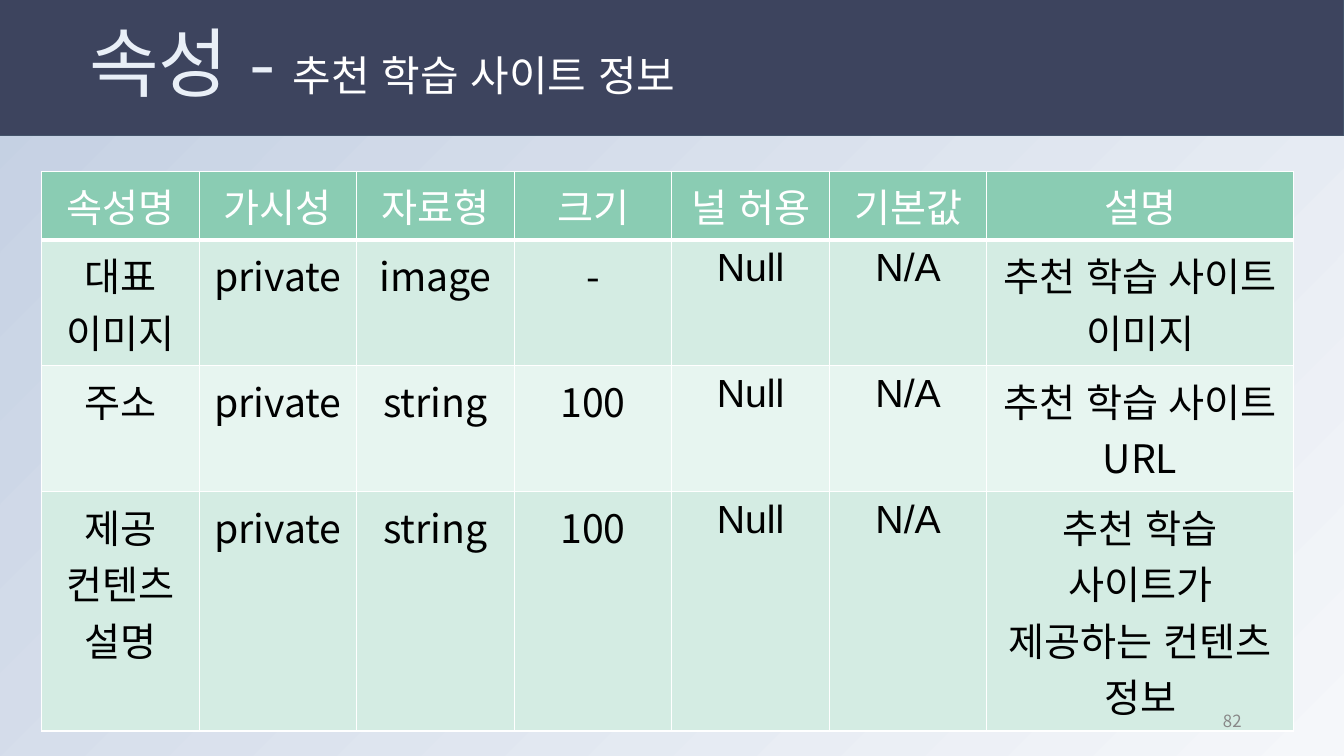
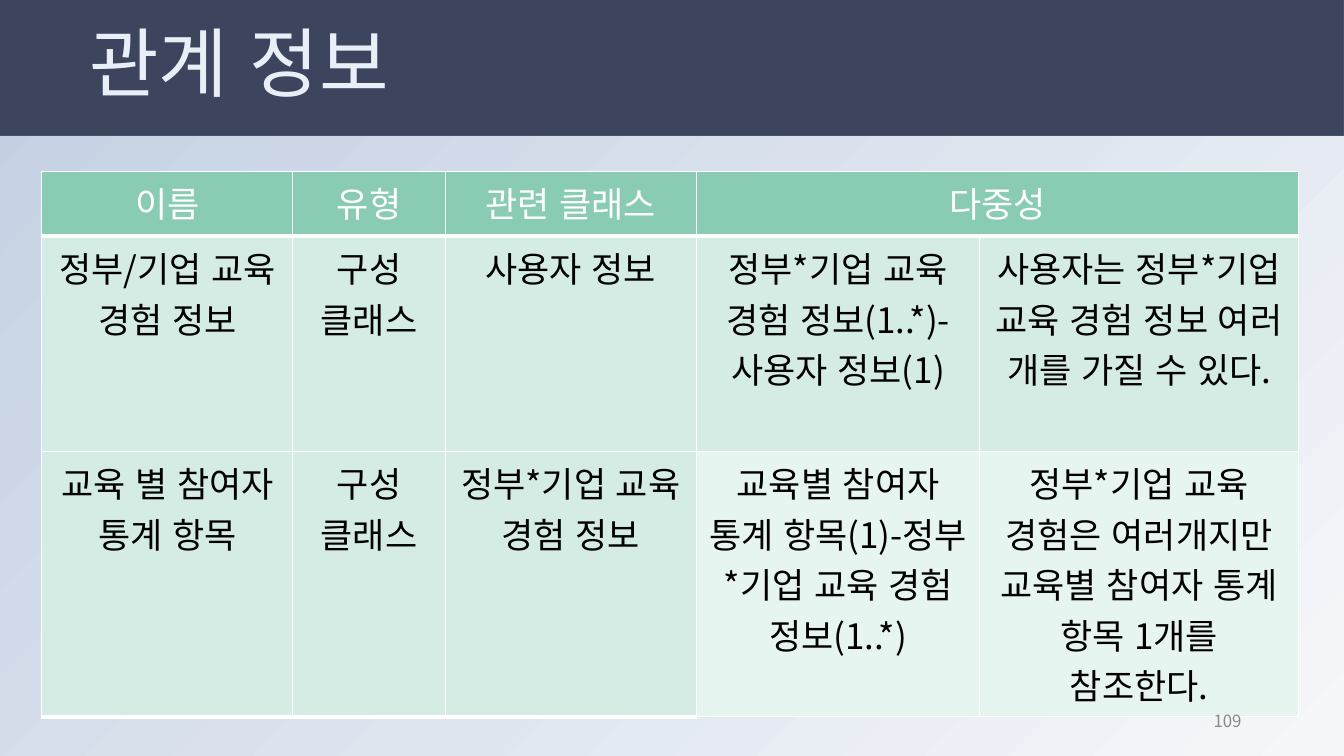
from lxml import etree
from pptx import Presentation, util as u
from pptx.dml.color import RGBColor
from pptx.enum import lang, shapes, text
from pptx.oxml import ns

NAVY = RGBColor(0x3D, 0x44, 0x5E)
SLATE = RGBColor(0x44, 0x54, 0x6A)
ICE = RGBColor(0xE9, 0xEF, 0xF7)
WHITE = RGBColor(0xFF, 0xFF, 0xFF)
BLACK = RGBColor(0, 0, 0)
GRAY = RGBColor(0x88, 0x88, 0x88)
MINT = RGBColor(0x8A, 0xCC, 0xB3)
MINT_PALE = RGBColor(0xD4, 0xEC, 0xE3)
MINT_LIGHT = RGBColor(0xE7, 0xF5, 0xF0)
BACKDROP = (RGBColor(0xF5, 0xF7, 0xFA), RGBColor(0xC3, 0xCF, 0xE2))
SANS = "Noto Sans CJK KR"
LATIN_WORDS = {"Null": "Arial", "N/A": "Arial"}


class Report:
    """Hold the deck style and the slide being built."""

    def __init__(self):
        """Set the slide size and the shared background."""
        self.deck = Presentation()
        self.deck.slide_width = u.Cm(33.87)
        self.deck.slide_height = u.Cm(19.05)
        self.page = None
        fill = self.deck.slide_master.background.fill
        fill.gradient()
        fill.gradient_angle = 135
        for stop, position, color in zip(fill.gradient_stops, (0, 1), BACKDROP):
            stop.position = position
            stop.color.rgb = color

    def add_page(self, title, subtitle=""):
        """Start a slide with its title band."""
        self.page = self.deck.slides.add_slide(self.deck.slide_layouts[6])
        self.add_band()
        para = self.add_box(2, -0.15, 29.21, 3.68)
        para.line_spacing = 0.9
        self.add_span(para, title, 54, ICE)
        if subtitle:
            self.add_span(para, subtitle, 30, WHITE)

    def add_band(self):
        """Draw the dark band behind the title."""
        band = self.page.shapes.add_shape(
            shapes.MSO_SHAPE.RECTANGLE, 0, u.Cm(-0.02), self.deck.slide_width, u.Cm(3.44))
        band.shadow.inherit = False
        band.fill.solid()
        band.fill.fore_color.rgb = NAVY
        band.line.color.rgb = SLATE
        band.line.width = u.Pt(0.75)

    def add_box(self, *place):
        """Add a text box and return its first paragraph."""
        frame = self.page.shapes.add_textbox(*map(u.Cm, place)).text_frame
        frame.word_wrap = True
        frame.vertical_anchor = text.MSO_ANCHOR.MIDDLE
        return frame.paragraphs[0]

    def add_span(self, para, words, size, color, face=SANS):
        """Add a run in the deck's font."""
        span = para.add_run()
        span.text = words
        formats = {"size": u.Pt(size), "name": face, "bold": False,
                   "language_id": lang.MSO_LANGUAGE_ID.KOREAN}
        for name, value in formats.items():
            setattr(span.font, name, value)
        span.font.color.rgb = color
        etree.SubElement(span._r.get_or_add_rPr(), ns.qn("a:ea"), typeface=SANS)

    def add_number(self, number):
        """Write the page number."""
        para = self.add_box(23.92, 17.65, 7.62, 1.02)
        para.alignment = text.PP_ALIGN.RIGHT
        self.add_span(para, str(number), 12, GRAY)

    def add_table(self, rows, widths, heights, size, banded_from=0):
        """Add a table whose columns from banded_from on alternate in colour."""
        frame = self.page.shapes.add_table(
            len(rows), len(widths), u.Cm(1.05), u.Cm(4.32),
            u.Cm(sum(widths)), u.Cm(sum(heights)))
        table = frame.table
        table.first_row = table.horz_banding = False
        for column, width in zip(table.columns, widths):
            column.width = u.Cm(width)
        for line, height in zip(table.rows, heights):
            line.height = u.Cm(height)
        last = len(rows) - 1
        for r, row in enumerate(rows):
            for c, words in enumerate(row):
                banded = c >= banded_from
                fill = MINT if r == 0 else MINT_LIGHT if banded and r % 2 == 0 else MINT_PALE
                thick_bottom = r == 0 or (r == last and not banded)
                self.fill_cell(table.cell(r, c), words, size, WHITE if r == 0 else BLACK, fill,
                               top=3 if r == 1 else 1, bottom=3 if thick_bottom else 1)
        return table

    def fill_cell(self, cell, words, size, color, fill, top, bottom):
        """Set the text, fill, margins and borders of a cell."""
        margins = {"margin_left": 0.3, "margin_right": 0.3,
                   "margin_top": 0.15, "margin_bottom": 0.15}
        for name, value in margins.items():
            setattr(cell, name, u.Cm(value))
        cell.fill.solid()
        cell.fill.fore_color.rgb = fill
        para = cell.text_frame.paragraphs[0]
        para.alignment = text.PP_ALIGN.CENTER
        if words:
            self.add_span(para, words, size, color, LATIN_WORDS.get(words, SANS))
        properties = cell._tc.get_or_add_tcPr()
        borders = {"a:lnL": 1, "a:lnR": 1, "a:lnT": top, "a:lnB": bottom}
        for index, (tag, width) in enumerate(borders.items()):
            line = etree.Element(ns.qn(tag), w=str(u.Pt(width)))
            solid = etree.SubElement(line, ns.qn("a:solidFill"))
            etree.SubElement(solid, ns.qn("a:srgbClr"), val=str(WHITE))
            properties.insert(index, line)


def main():
    """Build and save the deck."""
    report = Report()

    report.add_page("속성 - ", "추천 학습 사이트 정보")
    report.add_table([
        ["속성명", "가시성", "자료형", "크기", "널 허용", "기본값", "설명"],
        ["대표 이미지", "private", "image", "-", "Null", "N/A", "추천 학습 사이트 이미지"],
        ["주소", "private", "string", "100", "Null", "N/A", "추천 학습 사이트 URL"],
        ["제공 컨텐츠 설명", "private", "string", "100", "Null", "N/A",
         "추천 학습 사이트가 제공하는 컨텐츠 정보"],
    ], [3.97] * 6 + [7.72], [1.73, 3.17, 3.17, 6.03], 28)
    report.add_number(82)

    report.add_page("관계 정보")
    relations = report.add_table([
        ["이름", "유형", "관련 클래스", "다중성", ""],
        ["정부/기업 교육 경험 정보", "구성 클래스", "사용자 정보",
         "정부*기업 교육 경험 정보(1..*)-사용자 정보(1)",
         "사용자는 정부*기업 교육 경험 정보 여러 개를 가질 수 있다."],
        ["교육 별 참여자 통계 항목", "구성 클래스", "정부*기업 교육 경험 정보",
         "교육별 참여자 통계 항목(1)-정부*기업 교육 경험 정보(1..*)",
         "정부*기업 교육 경험은 여러개지만 교육별 참여자 통계 항목 1개를 참조한다."],
    ], [6.33, 3.84, 6.33, 7.14, 8.03], [1.63, 5.42, 6.69], 25, banded_from=3)
    relations.cell(0, 3).merge(relations.cell(0, 4))
    report.add_number(109)

    report.deck.save("out.pptx")


if __name__ == "__main__":
    main()
